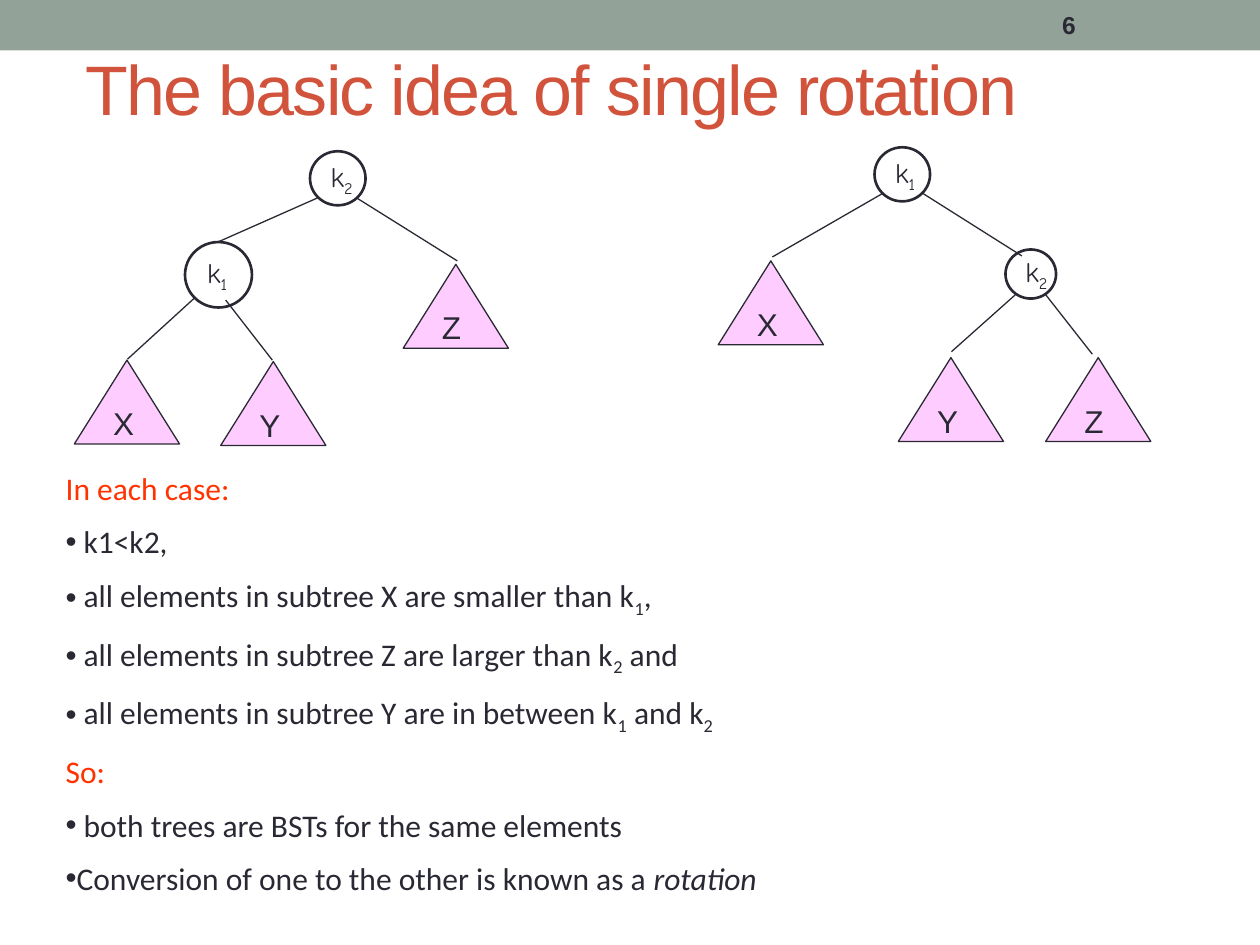
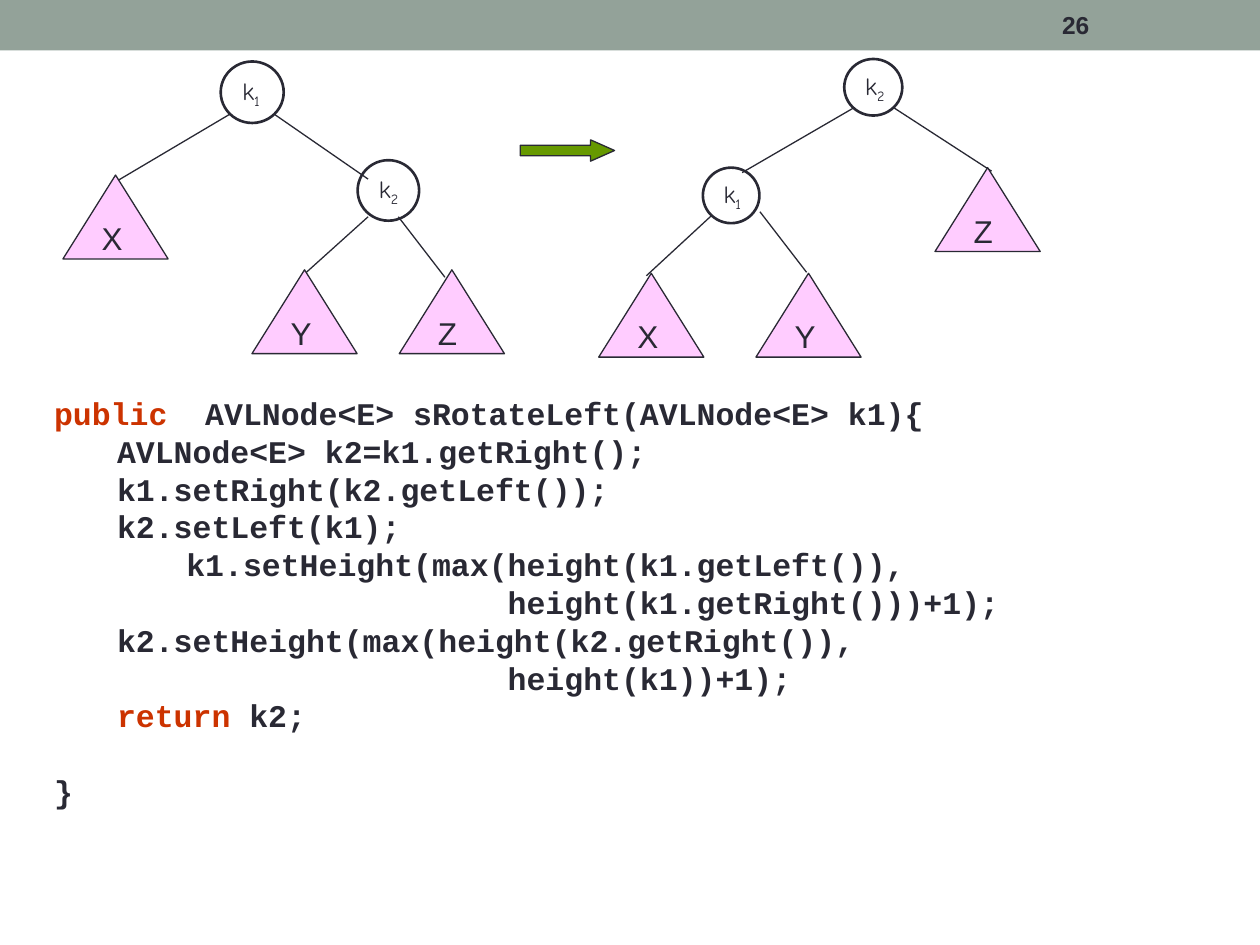
from lxml import etree
from pptx import Presentation
from pptx.dml.color import RGBColor
from pptx.enum.shapes import MSO_CONNECTOR, MSO_SHAPE
from pptx.enum.text import MSO_ANCHOR, MSO_AUTO_SIZE, PP_ALIGN
from pptx.oxml.ns import qn
from pptx.util import Cm, Pt

RECTANGLE, ELLIPSE = MSO_SHAPE.RECTANGLE, MSO_SHAPE.OVAL
TRIANGLE, ARROW = MSO_SHAPE.ISOSCELES_TRIANGLE, MSO_SHAPE.RIGHT_ARROW
STRAIGHT = MSO_CONNECTOR.STRAIGHT
LEFT, MIDDLE, TOP = PP_ALIGN.LEFT, MSO_ANCHOR.MIDDLE, MSO_ANCHOR.TOP
NO_AUTOFIT = MSO_AUTO_SIZE.NONE

INK = RGBColor(0x29, 0x29, 0x34)
BAND = RGBColor(0x93, 0xA2, 0x99)
TITLE = RGBColor(0xD2, 0x53, 0x3C)
PINK = RGBColor(0xFF, 0xCC, 0xFF)
GREEN = RGBColor(0x66, 0x99, 0x00)
HEADING = RGBColor(0xFF, 0x33, 0x00)
KEYWORD = RGBColor(0xCC, 0x33, 0x00)
WHITE = RGBColor(0xFF, 0xFF, 0xFF)

SUBTREE_SIZE = (2.12, 1.69)
CODE_LINE = Pt(21.6)

# Trees in cm: nodes (key index, left, top, width, height),
# edges (from x, y, to x, y), subtrees (letter, left, top)
IDEA_BEFORE = {
    "nodes": [(1, 3.73, 4.88, 1.35, 1.32), (2, 6.25, 3.05, 1.12, 1.09)],
    "edges": [(6.4, 3.99, 4.39, 4.88), (7.19, 3.99, 9.22, 5.26),
              (4.55, 6.05, 5.49, 7.26), (3.94, 5.99, 2.57, 7.24)],
    "subtrees": [("X", 1.5, 7.26), ("Y", 4.45, 7.29), ("Z", 8.13, 5.33)],
}
IDEA_AFTER = {
    "nodes": [(1, 17.63, 2.97, 1.12, 1.09), (2, 20.27, 5.03, 1.02, 0.99)],
    "edges": [(17.81, 3.89, 15.57, 5.18), (18.59, 3.89, 20.6, 5.16),
              (20.47, 5.94, 19.18, 7.09), (21.08, 5.94, 22.02, 7.14)],
    "subtrees": [("X", 14.48, 5.26), ("Y", 18.11, 7.21), ("Z", 21.08, 7.21)],
}
LEFT_ROTATION_BEFORE = {
    "nodes": [(1, 4.45, 1.24, 1.27, 1.24), (2, 7.21, 3.23, 1.24, 1.22)],
    "edges": [(4.62, 2.31, 2.39, 3.63), (5.54, 2.31, 7.42, 3.61),
              (7.42, 4.37, 6.12, 5.54), (8.03, 4.37, 8.97, 5.59)],
    "subtrees": [("X", 1.27, 3.53), ("Y", 5.08, 5.44), ("Z", 8.05, 5.44)],
}
LEFT_ROTATION_AFTER = {
    "nodes": [(1, 14.17, 3.38, 1.14, 1.12), (2, 17.02, 1.19, 1.17, 1.14)],
    "edges": [(17.2, 2.18, 14.96, 3.48), (18.03, 2.18, 19.99, 3.45),
              (15.32, 4.27, 16.26, 5.49), (14.35, 4.34, 13.03, 5.56)],
    "subtrees": [("X", 12.07, 5.51), ("Y", 15.24, 5.51), ("Z", 18.85, 3.38)],
}

# List lines: (hanging indent in cm, or None for a heading; runs as (text, style))
RULES = [
    (None, [("In each case:", "")]),
    (0.36, [("k1<k2,", "")]),
    (0.36, [("all elements in subtree X are smaller than k", ""), ("1", "sub"), (",", "")]),
    (0.36, [("all elements in subtree Z are larger than k", ""), ("2", "sub"), (" and", "")]),
    (0.36, [("all elements in subtree Y are in between k", ""), ("1", "sub"),
            (" and k", ""), ("2", "sub")]),
    (None, [("So:", "")]),
    (0.36, [("both trees are BSTs for the same elements", "")]),
    (0.22, [("Conversion of one to the other is known as a ", ""), ("rotation", "italic")]),
]

CODE = [
    [("public  ", "keyword"), ("AVLNode<E> sRotateLeft(AVLNode<E> k1){", "")],
    [("\tAVLNode<E> k2=k1.getRight();", "")],
    [("\tk1.setRight(k2.getLeft());", "")],
    [("\tk2.setLeft(k1);", "")],
    [("       k1.setHeight(max(height(k1.getLeft()),", "")],
    [("                        height(k1.getRight()))+1);", "")],
    [("\tk2.setHeight(max(height(k2.getRight()),", "")],
    [("                        height(k1))+1);", "")],
    [("\t", ""), ("return", "keyword"), (" k2;", "")],
    [("}", "")],
]


def box(left, top, width, height):
    return Cm(left), Cm(top), Cm(width), Cm(height)


def place(shape, left, top, width, height):
    shape.left, shape.top, shape.width, shape.height = box(left, top, width, height)


def write(paragraph, runs, font_name, size, color=INK, bold=False):
    paragraph.alignment = LEFT
    font = paragraph.font
    font.name, font.size, font.bold = font_name, Pt(size), bold
    font.color.rgb = color
    for text, style in runs:
        run = paragraph.add_run()
        run.text = text
        if style == "sub":
            run.font._element.set("baseline", "-25000")
        elif style == "italic":
            run.font.italic = True
        elif style == "keyword":
            run.font.color.rgb = KEYWORD


def paragraphs(frame, count):
    """Return the first paragraph of the frame and as many new ones as needed."""
    return [frame.paragraphs[0]] + [frame.add_paragraph() for _ in range(count - 1)]


def add_figure(shapes, preset, bounds, fill=None, line_width=None):
    shape = shapes.add_shape(preset, *box(*bounds))
    shape.shadow.inherit = False
    if fill is None:
        shape.fill.background()
    else:
        shape.fill.solid()
        shape.fill.fore_color.rgb = fill
    if line_width is None:
        shape.line.fill.background()
    else:
        shape.line.color.rgb = INK
        shape.line.width = Pt(line_width)
    return shape


def label(shape, runs, font_name, size):
    frame = shape.text_frame
    frame.word_wrap = False
    frame.vertical_anchor = MIDDLE
    write(frame.paragraphs[0], runs, font_name, size)


def add_edge(shapes, *ends):
    edge = shapes.add_connector(STRAIGHT, *box(*ends))
    edge.line.color.rgb = INK
    edge.line.width = Pt(0.75)
    etree.SubElement(edge._element.spPr, qn("a:effectLst"))


def add_tree(slide, tree, key_size):
    shapes = slide.shapes.add_group_shape().shapes
    for index, *bounds in tree["nodes"]:
        node = add_figure(shapes, ELLIPSE, bounds, line_width=1.5)
        label(node, [("k", ""), (str(index), "sub")], "Comic Neue", key_size)
    for edge in tree["edges"]:
        add_edge(shapes, *edge)
    for letter, left, top in tree["subtrees"]:
        subtree = add_figure(shapes, TRIANGLE, (left, top, *SUBTREE_SIZE), PINK, 0.75)
        label(subtree, [(letter, "")], "Arial", 18)


def add_title(slide, text):
    title = slide.shapes.title
    place(title, 1.47, 0.66, 22.86, 2.21)
    frame = title.text_frame
    frame.auto_size = NO_AUTOFIT
    frame.vertical_anchor = MIDDLE
    write(frame.paragraphs[0], [(text, "")], "Arial", 40, TITLE)
    frame.paragraphs[0].runs[0].font._element.set("spc", "-100")


def set_bullet(paragraph, indent):
    properties = paragraph._p.get_or_add_pPr()
    hanging = Cm(indent or 0)
    properties.set("marL", str(hanging))
    properties.set("indent", str(-hanging))
    if indent is None:
        etree.SubElement(properties, qn("a:buNone"))
    else:
        etree.SubElement(properties, qn("a:buChar"), char="•")


def add_rules(slide):
    body = slide.placeholders[1]
    place(body, 1.07, 9.32, 20.75, 9.04)
    frame = body.text_frame
    frame.auto_size = NO_AUTOFIT
    for number, (paragraph, (indent, runs)) in enumerate(
            zip(paragraphs(frame, len(RULES)), RULES)):
        set_bullet(paragraph, indent)
        paragraph.space_before = Pt(9 if number else 0)
        write(paragraph, runs, "Calibri", 18, HEADING if indent is None else INK)


def add_code(slide):
    panel = add_figure(slide.shapes, RECTANGLE, (0.84, 7.82, 23.93, 8.71), WHITE)
    frame = panel.text_frame
    frame.word_wrap = True
    frame.vertical_anchor = TOP
    lines = paragraphs(frame, len(CODE))
    for paragraph, runs in zip(lines, CODE):
        paragraph.line_spacing = CODE_LINE
        write(paragraph, runs, "Courier New", 18, bold=True)
    lines[-1].space_before = CODE_LINE


def add_page_number(slide, number):
    frame = slide.shapes.add_textbox(*box(21.16, 0.05, 2.97, 0.91)).text_frame
    frame.word_wrap = True
    frame.vertical_anchor = MIDDLE
    write(frame.paragraphs[0], [(str(number), "")], "Arial", 14, bold=True)


def move_to_master(presentation, shape):
    presentation.slide_master.shapes._spTree.insert(2, shape._element)


def main():
    presentation = Presentation()
    presentation.slide_width, presentation.slide_height = Cm(25.4), Cm(19.05)
    layouts = presentation.slide_layouts

    # Single rotation: both trees and what they share
    idea = presentation.slides.add_slide(layouts[1])
    band = add_figure(idea.shapes, RECTANGLE, (0, 0, 25.4, 1.02), BAND)
    move_to_master(presentation, band)
    add_title(idea, "The basic idea of single rotation")
    add_tree(idea, IDEA_BEFORE, 16)
    add_tree(idea, IDEA_AFTER, 16)
    add_rules(idea)
    add_page_number(idea, 6)

    # Left rotation: trees, arrow and code
    rotation = presentation.slides.add_slide(layouts[6])
    add_tree(rotation, LEFT_ROTATION_AFTER, 14)
    add_tree(rotation, LEFT_ROTATION_BEFORE, 14)
    arrow = add_figure(rotation.shapes, ARROW, (10.49, 2.82, 1.9, 0.43), GREEN, 0.75)
    arrow.adjustments[1] = 1.125
    add_page_number(rotation, 26)
    add_code(rotation)

    presentation.save("out.pptx")


if __name__ == "__main__":
    main()
